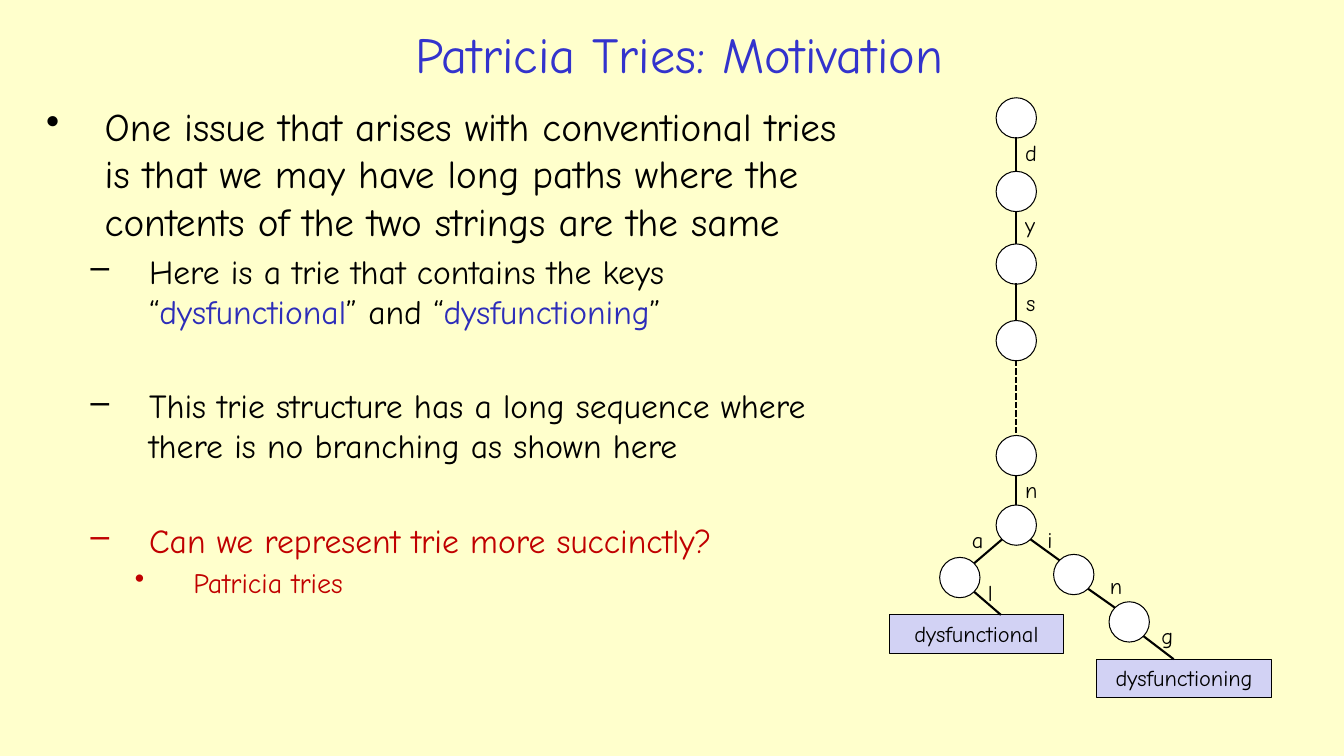
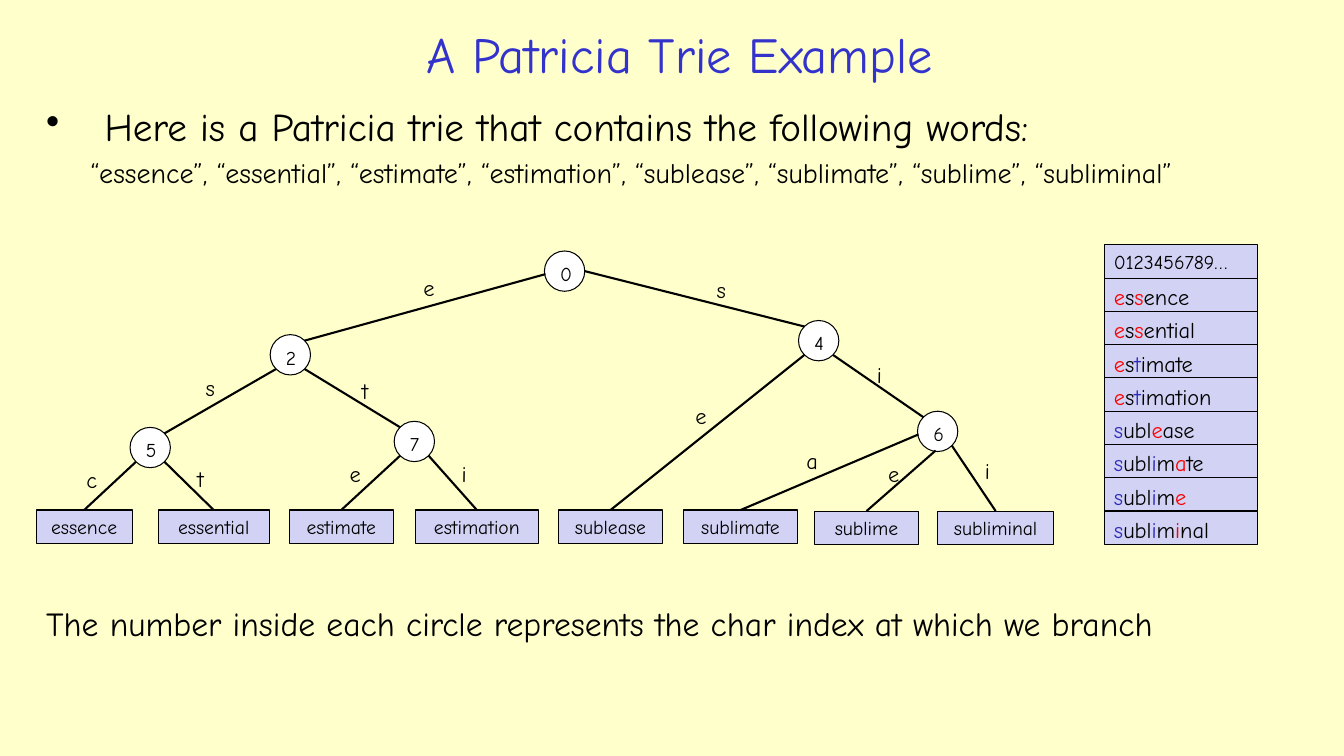
"""Builds two slides that explain Patricia tries."""
from dataclasses import dataclass

from lxml import etree
from pptx import Presentation
from pptx.dml.color import RGBColor
from pptx.enum.dml import MSO_LINE
from pptx.enum.shapes import MSO_CONNECTOR, MSO_SHAPE
from pptx.enum.text import MSO_ANCHOR, PP_ALIGN
from pptx.oxml.ns import qn
from pptx.util import Inches, Pt

LEFT, CENTER = PP_ALIGN.LEFT, PP_ALIGN.CENTER
TOP, MIDDLE = MSO_ANCHOR.TOP, MSO_ANCHOR.MIDDLE
ELLIPSE, RECTANGLE = MSO_SHAPE.OVAL, MSO_SHAPE.RECTANGLE
STRAIGHT, DASHED = MSO_CONNECTOR.STRAIGHT, MSO_LINE.SQUARE_DOT


@dataclass(frozen=True)
class Theme:
    font: str = "Comic Neue"
    paper: str = "FFFFCC"
    title: str = "3333CC"
    ink: str = "000000"
    key: str = "2D2DB9"
    accent: str = "C00000"
    branch: str = "FF0000"
    node: str = "FFFFFF"
    leaf: str = "D2D2F4"
    title_size: int = 36
    level_sizes: tuple = (28, 24, 20)
    label_size: int = 16
    small_size: int = 14
    outline: float = 0.75
    edge: float = 1.5


THEME = Theme()
CELL = Inches(0.1)
NODE = 4
PORTS = {
    "N": (0, -2), "S": (-0.2, 1.9), "W": (-1.9, 0.3), "E": (2, 0),
    "NW": (-1.4, -1.4), "NE": (1.4, -1.4), "SW": (-1.4, 1.4), "SE": (1.4, 1.4),
}
LEVELS = (("•", 0.58), ("–", 1.02), ("•", 1.46))
HANGING = 0.58
GAP = 38.4
STEM = 100.8

SLIDES = [
    {
        "title": "Patricia Tries: Motivation",
        "body_size": (81.9, 63.6),
        "body": [
            (0, True, 0, [("One issue that arises with conventional tries is that we may have "
                           "long paths where the contents of the two strings are the same",
                           THEME.ink)]),
            (1, True, 4.8, [("Here is a trie that contains the keys “", THEME.ink),
                            ("dysfunctional", THEME.key), ("” and “", THEME.ink),
                            ("dysfunctioning", THEME.key), ("”", THEME.ink)]),
            (1, True, GAP, [("This trie structure has a long sequence where there is no "
                             "branching as shown here", THEME.ink)]),
            (1, True, GAP, [("Can we represent trie more succinctly?", THEME.accent)]),
            (2, True, 4, [("Patricia tries", THEME.accent)]),
        ],
        "numbered": False,
        "nodes": {
            "root": (STEM, 11.7), "d": (STEM, 19), "dy": (STEM, 26.2), "dys": (STEM, 33.8),
            "dysfunctio": (STEM, 45.2), "dysfunction": (STEM, 52.1),
            "a": (95.2, 57.3), "i": (106.5, 57), "in": (112, 61.7),
        },
        "leaves": {
            "dysfunctional": (88.2, 61, 17.3, 0.64),
            "dysfunctioning": (108.8, 65.4, 17.3, 0.44),
        },
        "leaf_height": 3.8,
        "leaf_size": THEME.label_size,
        "edges": [
            ("root", "S", "d", "N", "d", 100.7, 13.3),
            ("d", "S", "dy", "N", "y", 100.7, 20.5),
            ("dy", "S", "dys", "N", "s", 100.8, 28.2),
            ("dys", "S", "dysfunctio", "N", "", 0, 0),
            ("dysfunctio", "S", "dysfunction", "N", "n", 100.7, 46.7),
            ("dysfunction", "SW", "a", "NE", "a", 95.4, 51.7),
            ("dysfunction", "SE", "i", "NW", "i", 102.9, 51.7),
            ("i", "SE", "in", "NW", "n", 109.1, 56.3),
            ("a", "SE", "dysfunctional", "", "l", 97, 57),
            ("in", "SE", "dysfunctioning", "", "g", 114.2, 61.2),
        ],
    },
    {
        "title": "A Patricia Trie Example",
        "body_size": (128.5, 15.2),
        "body": [
            (0, True, 0, [("Here is a Patricia trie that contains the following words:",
                           THEME.ink)]),
            (2, False, 4, [("“essence”, “essential”, “estimate”, “estimation”, “sublease”, "
                            "“sublimate”, “sublime”, “subliminal”", THEME.ink)]),
        ],
        "numbered": True,
        "nodes": {
            "0": (56, 26.9), "2": (28.8, 35.2), "4": (81.2, 33.8),
            "5": (14.9, 44.4), "7": (41.1, 43.8), "6": (93, 42.8),
        },
        "leaves": {
            "essence": (3.6, 50.6, 9.5, 0.5), "essential": (15.7, 50.6, 11, 0.5),
            "estimate": (28.7, 50.6, 10.3, 0.5), "estimation": (41.2, 50.6, 12.2, 0.5),
            "sublease": (55.4, 50.6, 10.3, 0.5), "sublimate": (67.8, 50.6, 11.3, 0.5),
            "sublime": (80.8, 50.7, 10.3, 0.5), "subliminal": (93, 50.7, 11.5, 0.5),
        },
        "leaf_height": 3.3,
        "leaf_size": THEME.small_size,
        "edges": [
            ("0", "W", "2", "NE", "e", 41, 26.7),
            ("0", "E", "4", "NW", "s", 70.1, 26.9),
            ("2", "SW", "5", "NE", "s", 19.4, 36.6),
            ("2", "SE", "7", "NW", "t", 34.9, 36.9),
            ("5", "SW", "essence", "", "c", 7.6, 45.8),
            ("5", "SE", "essential", "", "t", 18.6, 45.7),
            ("7", "SW", "estimate", "", "e", 33.7, 45.2),
            ("7", "SE", "estimation", "", "i", 44.8, 45.2),
            ("4", "SW", "sublease", "", "e", 68, 39.4),
            ("4", "SE", "6", "NW", "i", 86, 35.3),
            ("6", "W", "sublimate", "", "a", 79, 43.9),
            ("6", "S", "sublime", "", "e", 87.1, 45.2),
            ("6", "SE", "subliminal", "", "i", 96.7, 44.9),
        ],
    },
]

WORDS = [
    ("essence", {0: THEME.branch, 2: THEME.branch}),
    ("essential", {0: THEME.branch, 2: THEME.branch}),
    ("estimate", {0: THEME.branch, 2: THEME.key}),
    ("estimation", {0: THEME.branch, 2: THEME.key}),
    ("sublease", {0: THEME.key, 4: THEME.branch}),
    ("sublimate", {0: THEME.key, 4: THEME.key, 6: THEME.branch}),
    ("sublime", {0: THEME.key, 4: THEME.key, 6: THEME.branch}),
    ("subliminal", {0: THEME.key, 4: THEME.key, 6: THEME.branch}),
]


def write(para, spans, size, align=LEFT):
    para.alignment = align
    for text, colour in spans:
        span = para.add_run()
        span.text = text
        span.font.name = THEME.font
        span.font.size = Pt(size)
        span.font.color.rgb = RGBColor.from_string(colour)


def add_box(page, left, top, width, height, shape=None, fill=THEME.leaf, anchor=TOP):
    place = [round(length * CELL) for length in (left, top, width, height)]
    if shape is None:
        box = page.shapes.add_textbox(*place)
    else:
        box = page.shapes.add_shape(shape, *place)
        box.shadow.inherit = False
        box.fill.solid()
        box.fill.fore_color.rgb = RGBColor.from_string(fill)
        box.line.color.rgb = RGBColor.from_string(THEME.ink)
        box.line.width = Pt(THEME.outline)
    box.text_frame.word_wrap = True
    box.text_frame.vertical_anchor = anchor
    return box.text_frame


deck = Presentation()
deck.slide_width, deck.slide_height = Inches(13.33), Inches(7.5)
background = deck.slide_master.background.fill
background.solid()
background.fore_color.rgb = RGBColor.from_string(THEME.paper)
blank = deck.slide_layouts[6]

for content in SLIDES:
    page = deck.slides.add_slide(blank)
    frame = add_box(page, 19.7, 1.5, 95.4, 7.6, anchor=MIDDLE)
    write(frame.paragraphs[0], [(content["title"], THEME.title)], THEME.title_size, CENTER)

    frame = add_box(page, 3.6, 9.7, *content["body_size"])
    for index, (level, bulleted, space, spans) in enumerate(content["body"]):
        para = frame.add_paragraph() if index else frame.paragraphs[0]
        mark, margin = LEVELS[level]
        para.space_before = Pt(space)
        properties = para._p.get_or_add_pPr()
        if bulleted:
            properties.set("marL", str(Inches(margin)))
            properties.set("indent", str(-Inches(HANGING)))
            etree.SubElement(properties, qn("a:buChar")).set("char", mark)
        else:
            properties.set("marL", str(Inches(0.44)))
            properties.set("indent", "0")
        write(para, spans, THEME.level_sizes[level])

    for name, (x, y) in content["nodes"].items():
        frame = add_box(page, x - NODE / 2, y - NODE / 2, NODE, NODE, ELLIPSE, THEME.node)
        if content["numbered"]:
            write(frame.paragraphs[0], [(name, THEME.ink)], THEME.small_size, CENTER)

    for word, (left, top, width, share) in content["leaves"].items():
        frame = add_box(page, left, top, width, content["leaf_height"], RECTANGLE)
        write(frame.paragraphs[0], [(word, THEME.ink)], content["leaf_size"], CENTER)

    for parent, exit_port, child, entry_port, letter, label_left, label_top in content["edges"]:
        ends = []
        for name, port in ((parent, exit_port), (child, entry_port)):
            if port:
                x, y = content["nodes"][name]
                ends += [x + PORTS[port][0], y + PORTS[port][1]]
            else:
                left, top, width, share = content["leaves"][name]
                ends += [left + share * width, top]
        if exit_port == "S" and entry_port == "N":
            ends[0] = ends[2]
        edge = page.shapes.add_connector(STRAIGHT, *[round(end * CELL) for end in ends])
        edge.line.color.rgb = RGBColor.from_string(THEME.ink)
        edge.line.width = Pt(THEME.edge)
        etree.SubElement(edge._element.spPr, qn("a:effectLst"))
        if letter:
            frame = add_box(page, label_left, label_top, 4, 3.7)
            write(frame.paragraphs[0], [(letter, THEME.ink)], THEME.label_size)
        else:
            edge.line.dash_style = DASHED

frame = add_box(page, 3.6, 59.3, 127, 5.6)
write(frame.paragraphs[0],
      [("The number inside each circle represents the char index at which we branch", THEME.ink)],
      THEME.level_sizes[1])

rows = [([("0123456789…", THEME.ink)], THEME.small_size)]
for word, marks in WORDS:
    spans, start = [], 0
    for index, colour in marks.items():
        if index > start:
            spans.append((word[start:index], THEME.ink))
        spans.append((word[index], colour))
        start = index + 1
    if start < len(word):
        spans.append((word[start:], THEME.ink))
    rows.append((spans, THEME.label_size))

for index, (spans, size) in enumerate(rows):
    frame = add_box(page, 109.5, 24.3 + index * 3.3, 15.2, 3.3, RECTANGLE)
    write(frame.paragraphs[0], spans, size)

deck.save("out.pptx")
